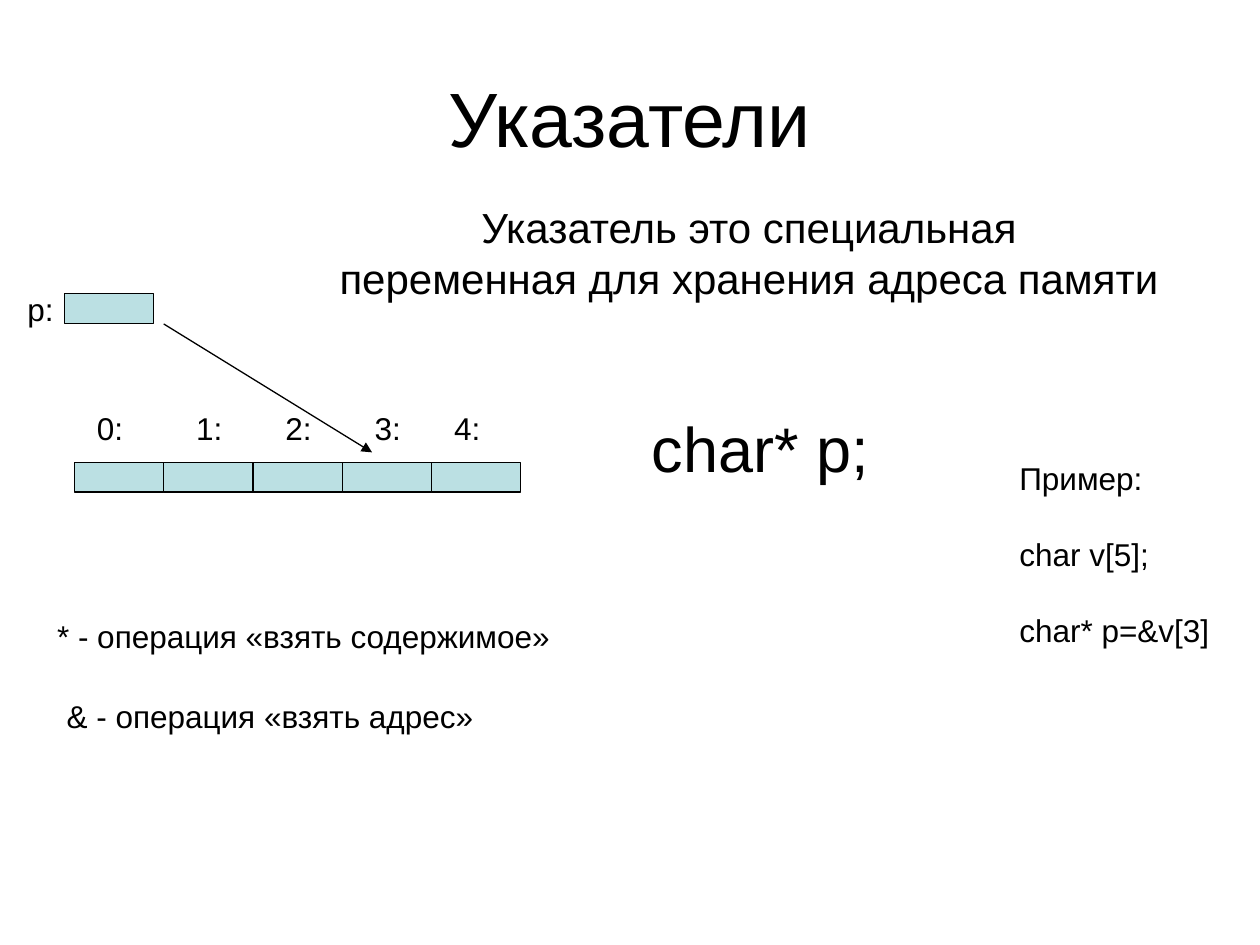
from dataclasses import dataclass

import pptx
import pptx.dml.color
import pptx.enum.shapes
import pptx.enum.text
import pptx.oxml
import pptx.oxml.ns
import pptx.util

Cm = pptx.util.Cm
Pt = pptx.util.Pt
ALIGN = pptx.enum.text.PP_ALIGN
ANCHOR = pptx.enum.text.MSO_ANCHOR
BLACK, CYAN = "000000", "BBE0E3"
CELL_W, CELL_H = 1.8, 0.6


@dataclass
class Note:
    """A text box, measured in centimetres."""
    x: float
    y: float
    w: float
    h: float
    lines: tuple[str, ...]
    size: float = 18
    align: int = ALIGN.CENTER
    wrap: bool = False
    gap: float = 0


def label(x: float, y: float, text: str) -> Note:
    return Note(x, y, 1.04, 1.02, (text,))


NOTES = [
    label(0.3, 5.72, "p:"),
    Note(12.8, 8.13, 5.05, 1.78, ("char* p;",), 36),
    Note(20.3, 9.12, 4.34, 5.59, ("Пример:", "char v[5];", "char* p=&v[3]"),
         align=ALIGN.LEFT, gap=22),
    *(label(x, 8.13, f"{i}:") for i, x in enumerate((1.7, 3.7, 5.5, 7.3, 8.9))),
    Note(0.89, 12.32, 10.46, 1.02, ("* - операция «взять содержимое»",)),
    Note(1.09, 13.92, 8.71, 1.02, ("& - операция «взять адрес»",)),
    Note(6.5, 3.94, 17.2, 2.29, ("Указатель это специальная",
                                 "переменная для хранения адреса памяти"), 24, wrap=True),
]


def color(code: str) -> pptx.dml.color.RGBColor:
    return pptx.dml.color.RGBColor.from_string(code)


def place(shape, x: float, y: float, w: float, h: float) -> None:
    for name, value in {"left": x, "top": y, "width": w, "height": h}.items():
        setattr(shape, name, Cm(value))


def write(frame, lines: tuple[str, ...], size: float, align: int, gap: float = 0) -> None:
    for i, line in enumerate(lines):
        para = frame.paragraphs[0] if i == 0 else frame.add_paragraph()
        para.text = line
        looks = {"alignment": align, "space_before": Pt(gap if i else 0)}
        for name, value in looks.items():
            setattr(para, name, value)
        for name, value in {"name": "Arial", "size": Pt(size)}.items():
            setattr(para.font, name, value)
        para.font.color.rgb = color(BLACK)


def add_note(shapes, note: Note) -> None:
    box = shapes.add_textbox(Cm(note.x), Cm(note.y), Cm(note.w), Cm(note.h))
    box.text_frame.word_wrap = note.wrap
    write(box.text_frame, note.lines, note.size, note.align, note.gap)


def ink(line) -> None:
    line.color.rgb = color(BLACK)
    line.width = Pt(0.75)


def add_cell(shapes, x: float, y: float) -> None:
    cell = shapes.add_shape(pptx.enum.shapes.MSO_SHAPE.RECTANGLE,
                            Cm(x), Cm(y), Cm(CELL_W), Cm(CELL_H))
    cell.shadow.inherit = False
    cell.fill.solid()
    cell.fill.fore_color.rgb = color(CYAN)
    ink(cell.line)


def add_arrow(shapes, x1: float, y1: float, x2: float, y2: float) -> None:
    arrow = shapes.add_connector(pptx.enum.shapes.MSO_CONNECTOR.STRAIGHT,
                                 Cm(x1), Cm(y1), Cm(x2), Cm(y2))
    ink(arrow.line)
    space = pptx.oxml.ns.nsdecls("a")
    line = arrow.line._get_or_add_ln()
    line.append(pptx.oxml.parse_xml(f'<a:tailEnd {space} type="triangle"/>'))
    line.addnext(pptx.oxml.parse_xml(f"<a:effectLst {space}/>"))


def main() -> None:
    deck = pptx.Presentation()
    deck.slide_width, deck.slide_height = Cm(25.4), Cm(19.05)
    slide = deck.slides.add_slide(deck.slide_layouts[5])
    shapes = slide.shapes

    place(shapes.title, 1.27, 0.76, 22.86, 3.18)
    shapes.title.text_frame.vertical_anchor = ANCHOR.MIDDLE
    write(shapes.title.text_frame, ("Указатели",), 44, ALIGN.CENTER)

    add_cell(shapes, 1.3, 5.92)
    row = shapes.add_group_shape()
    for i in range(5):
        add_cell(row.shapes, 1.5 + i * CELL_W, 9.32)
    add_arrow(shapes, 3.3, 6.53, 7.5, 9.12)
    for note in NOTES:
        add_note(shapes, note)

    deck.save("out.pptx")


if __name__ == "__main__":
    main()
